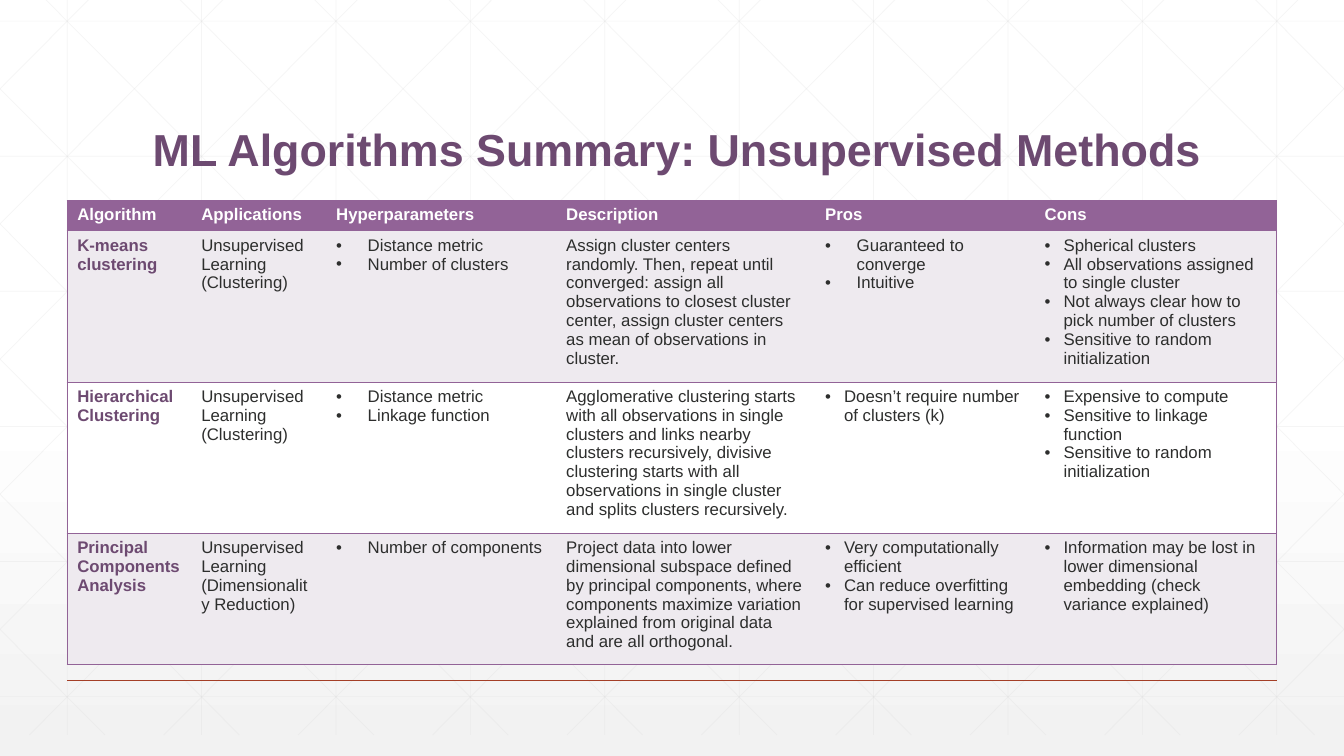
from lxml import etree
from pptx import Presentation
from pptx.dml.color import RGBColor as RGB
from pptx.enum.shapes import MSO_CONNECTOR as Conn
from pptx.enum.text import MSO_ANCHOR as Anchor
from pptx.oxml import parse_xml
from pptx.oxml.ns import qn
from pptx.util import Pt

# Content: a plain string is running text; a (indent, items) tuple is a bullet list
TITLE = "ML Algorithms Summary: Unsupervised Methods"
WIDE, SLIM = 22.5, 13.5
ROWS = [
    ["Algorithm", "Applications", "Hyperparameters", "Description", "Pros", "Cons"],
    [
        "K-means clustering",
        "Unsupervised Learning (Clustering)",
        (WIDE, ["Distance metric", "Number of clusters"]),
        "Assign cluster centers randomly. Then, repeat until converged: assign all "
        "observations to closest cluster center, assign cluster centers as mean of "
        "observations in cluster.",
        (WIDE, ["Guaranteed to converge", "Intuitive"]),
        (SLIM, ["Spherical clusters", "All observations assigned to single cluster",
                "Not always clear how to pick number of clusters",
                "Sensitive to random initialization"]),
    ],
    [
        "Hierarchical Clustering",
        "Unsupervised Learning (Clustering)",
        (WIDE, ["Distance metric", "Linkage function"]),
        "Agglomerative clustering starts with all observations in single clusters and "
        "links nearby clusters recursively, divisive clustering starts with all "
        "observations in single cluster and splits clusters recursively.",
        (SLIM, ["Doesn’t require number of clusters (k)"]),
        (SLIM, ["Expensive to compute", "Sensitive to linkage function",
                "Sensitive to random initialization"]),
    ],
    [
        "Principal Components Analysis",
        "Unsupervised Learning (Dimensionality Reduction)",
        (WIDE, ["Number of components"]),
        "Project data into lower dimensional subspace defined by principal components, "
        "where components maximize variation explained from original data and are all "
        "orthogonal.",
        (SLIM, ["Very computationally efficient",
                "Can reduce overfitting for supervised learning"]),
        (SLIM, ["Information may be lost in lower dimensional embedding "
                "(check variance explained)"]),
    ],
]
COLS = [88.6, 96.4, 164.3, 185, 156.8, 172.9]
HEIGHTS = [20.8, 101.4, 101.4, 87.6]
COLORS = {
    "white": "FFFFFF", "fade": "F2F2F2", "grid": "D9D9D9", "rule": "A43F27",
    "title": "6D4A71", "head": "926397", "band": "EEEAEF", "text": "2D2E2D",
}
FONT = "Arial"
PLAIN = "{2D5ABB26-0587-4C30-8999-92F81FD0307C}"
NS = 'xmlns:a="http://schemas.openxmlformats.org/drawingml/2006/main"'
W, H = 960, 540
TOP, END, STEP, RUN = -15, 525, 96, 537


def color(name):
    return RGB.from_string(COLORS[name])


def line(x1, y1, x2, y2, name, width, alpha=None):
    link = slide.shapes.add_connector(Conn.STRAIGHT, Pt(x1), Pt(y1), Pt(x2), Pt(y2))
    link.line.color.rgb = color(name)
    link.line.width = Pt(width)
    props = link._element.spPr
    if alpha:
        tint = next(props.iter(qn("a:srgbClr")))
        etree.SubElement(tint, qn("a:alpha")).set("val", str(alpha * 1000))
    etree.SubElement(props, qn("a:effectLst"))


def style(para, size, name, bold):
    font = para.font
    font.name, font.size, font.bold = FONT, Pt(size), bold
    font.color.rgb = color(name)


def border(cell, side, show):
    paint = (f'<a:solidFill><a:srgbClr val="{COLORS["head"]}"/></a:solidFill>'
             if show else "<a:noFill/>")
    cell._tc.get_or_add_tcPr().append(
        parse_xml(f'<a:ln{side} {NS} w="{Pt(1)}">{paint}</a:ln{side}>'))


def bullet(para, indent):
    props = para._p.get_or_add_pPr()
    props.set("marL", str(Pt(indent)))
    props.set("indent", str(-Pt(indent)))
    etree.SubElement(props, qn("a:buFont")).set("typeface", FONT)
    etree.SubElement(props, qn("a:buChar")).set("char", "•")


deck = Presentation()
deck.slide_width, deck.slide_height = Pt(W), Pt(H)
slide = deck.slides.add_slide(deck.slide_layouts[6])

# Background fade
back = slide.background.fill
back.gradient()
back.gradient_angle = 270
for stop, (spot, name) in zip(back.gradient_stops, [(0.53, "white"), (1, "fade")]):
    stop.position = spot
    stop.color.rgb = color(name)

# Faint grid: uprights, levels, then mirrored diagonals clipped to the slide
for i in range(10):
    x = W / 20 + i * STEP
    line(x, TOP, x, END, "grid", 0.5, 25)
for i in range(6):
    y = 15.1 + i * 96.5
    line(0, y, W, y, "grid", 0.5, 25)
slope = (END - TOP) / RUN
for i in range(-5, 10):
    start = 18 + i * STEP
    x1, x2 = max(start, 0), min(start + RUN, W)
    y1, y2 = (TOP + (x - start) * slope for x in (x1, x2))
    line(x1, y1, x2, y2, "grid", 0.5, 25)
    line(W - x1, y1, W - x2, y2, "grid", 0.5, 25)

# Footer rule
line(48, 486, 912, 486, "rule", 1)

# Title
frame = slide.shapes.add_textbox(Pt(102), Pt(39.6), Pt(783.4), Pt(90)).text_frame
frame.word_wrap = True
frame.vertical_anchor = Anchor.BOTTOM
head = frame.paragraphs[0]
head.text = TITLE
head.line_spacing = 0.9
style(head, 32, "title", True)

# Table
table = slide.shapes.add_table(
    len(ROWS), len(COLS), Pt(48), Pt(143.3), Pt(sum(COLS)), Pt(sum(HEIGHTS))).table
table.first_row = table.horz_banding = False
next(table._tbl.iter(qn("a:tableStyleId"))).text = PLAIN
for col, width in zip(table.columns, COLS):
    col.width = Pt(width)
for row, height in zip(table.rows, HEIGHTS):
    row.height = Pt(height)

for r, row in enumerate(ROWS):
    fill = "head" if r == 0 else "band" if r % 2 else "white"
    for c, entry in enumerate(row):
        cell = table.cell(r, c)
        for side, show in [("L", c == 0), ("R", c == len(COLS) - 1),
                           ("T", True), ("B", True)]:
            border(cell, side, show)
        cell.fill.solid()
        cell.fill.fore_color.rgb = color(fill)
        indent, items = (0, [entry]) if isinstance(entry, str) else entry
        tone = "white" if r == 0 else "title" if c == 0 else "text"
        for i, item in enumerate(items):
            body = cell.text_frame
            para = body.add_paragraph() if i else body.paragraphs[0]
            para.text = item
            if indent:
                bullet(para, indent)
            style(para, 12, tone, r == 0 or c == 0)

deck.save("out.pptx")
